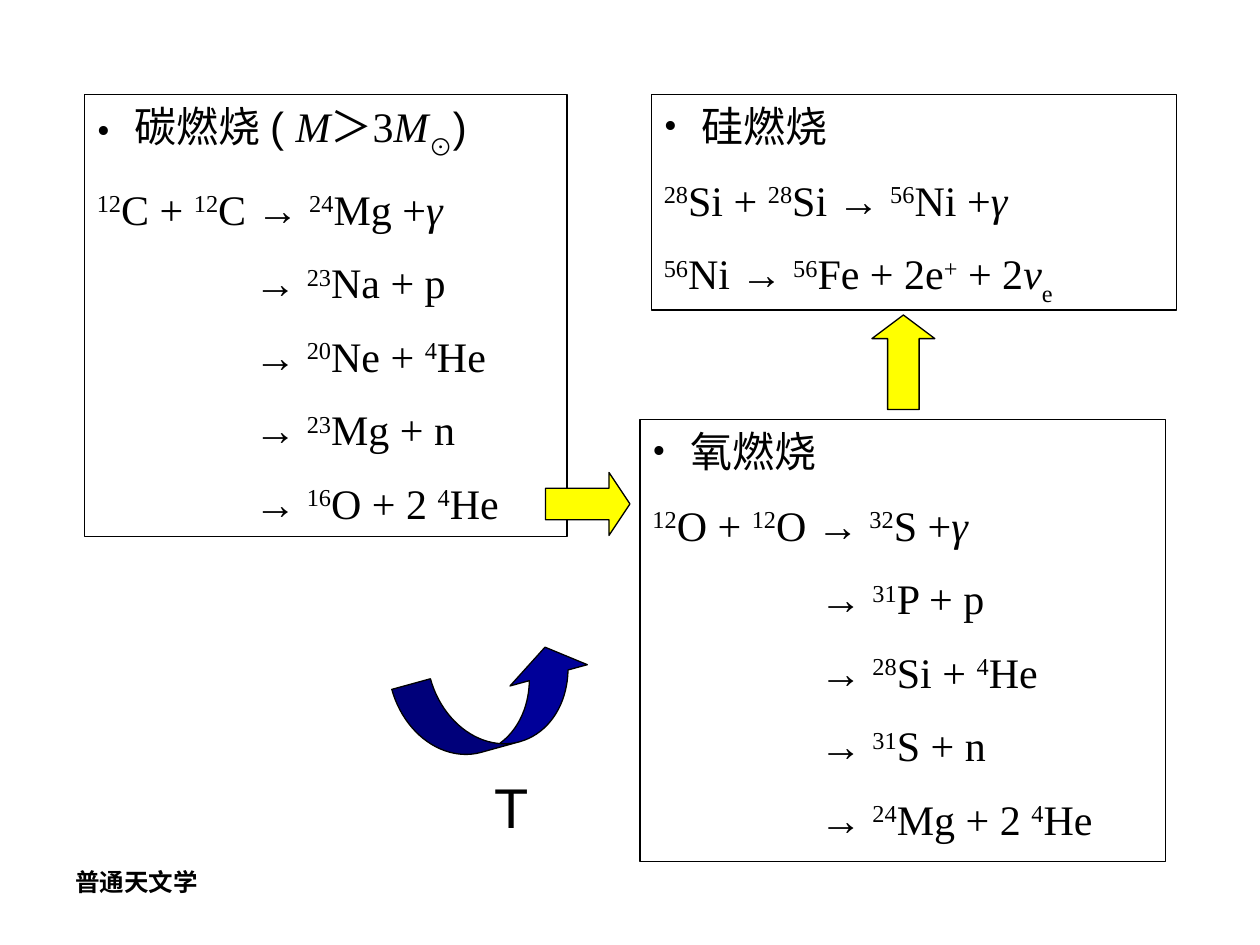
from dataclasses import dataclass

from lxml import etree
from pptx import Presentation
from pptx.dml.color import RGBColor
from pptx.enum.shapes import MSO_SHAPE
from pptx.enum.text import MSO_ANCHOR, PP_ALIGN
from pptx.oxml.ns import qn
from pptx.util import Inches, Pt

BLACK = RGBColor(0x00, 0x00, 0x00)
YELLOW = RGBColor(0xFF, 0xFF, 0x00)
NAVY = RGBColor(0x00, 0x00, 0x99)
RECT = MSO_SHAPE.RECTANGLE
UP = MSO_SHAPE.UP_ARROW
RIGHT = MSO_SHAPE.RIGHT_ARROW
CURVED = MSO_SHAPE.CURVED_UP_ARROW
TOP = MSO_ANCHOR.TOP
LEFT = PP_ALIGN.LEFT

SERIF = "Times New Roman"
SANS = "Arial"
CJK = "Noto Sans CJK SC"
BULLET_INDENT = 0.3
LINE_GAP = Pt(13.2)

# Runs are separated by "|"; the first character of a run may set its style
STYLES = {
    "^": {"baseline": 30000},
    "_": {"baseline": -30000},
    "/": {"italic": True},
    "~": {"name": SANS},
    "@": {"name": SANS, "baseline": -30000},
}


@dataclass
class Panel:
    box: tuple[float, float, float, float]
    title: str
    reactions: list[str]
    products: list[str]
    indent: float = 0


@dataclass
class BlockArrow:
    kind: MSO_SHAPE
    box: tuple[float, float, float, float]
    adjustments: list[float]
    fill: RGBColor
    rotation: float = 0


PANELS = [
    Panel((0.67, 0.75, 3.83, 3.51), "碳燃烧 |~( |/M|＞3|/M|@⊙|~)",
          ["^12|C + |^12|C → |^24|Mg +|/γ"],
          ["^23|Na + p", "^20|Ne + |^4|He", "^23|Mg + n", "^16|O + 2 |^4|He"], 1.25),
    Panel((5.08, 3.33, 4.17, 3.51), "氧燃烧",
          ["^12|O + |^12|O → |^32|S +|/γ"],
          ["^31|P + p", "^28|Si + |^4|He", "^31|S + n", "^24|Mg + 2 |^4|He"], 1.33),
    Panel((5.17, 0.75, 4.17, 1.71), "硅燃烧",
          ["^28|Si + |^28|Si → |^56|Ni +|/γ",
           "^56|Ni → |^56|Fe + 2e|^+| + 2|/ν|_e"], []),
]

ARROWS = [
    BlockArrow(UP, (6.92, 2.5, 0.5, 0.75), [0.5, 0.375], YELLOW),
    BlockArrow(RIGHT, (4.33, 3.75, 0.67, 0.5), [0.5, 0.333], YELLOW),
    BlockArrow(CURVED, (3.17, 5.25, 1.58, 0.67), [0.475, 0.95, 0.333], NAVY, 344.6),
]


def add_run(p, text: str, **fmt) -> None:
    r = p.add_run()
    r.text = text
    r.font.color.rgb = BLACK
    baseline = fmt.pop("baseline", None)
    for key, value in fmt.items():
        setattr(r.font, key, value)
    rPr = r.font._element
    if baseline:
        rPr.set("baseline", str(baseline))
    latin = rPr.find(qn("a:latin"))
    ea = etree.Element(qn("a:ea"), typeface=CJK)
    latin.addnext(ea)


def add_marked_runs(p, markup: str) -> None:
    for piece in markup.split("|"):
        style = STYLES.get(piece[0], {})
        text = piece[1:] if style else piece
        add_run(p, text, **{"name": SERIF, "size": Pt(24), **style})


def set_indent(p, left: float, first: float = 0) -> None:
    pPr = p._p.get_or_add_pPr()
    pPr.set("marL", str(Inches(left)))
    pPr.set("indent", str(Inches(first)))


def add_bullet(p) -> None:
    set_indent(p, BULLET_INDENT, -BULLET_INDENT)
    pPr = p._p.get_or_add_pPr()
    etree.SubElement(pPr, qn("a:buSzPct"), val="90000")
    etree.SubElement(pPr, qn("a:buFont"), typeface=SERIF)
    etree.SubElement(pPr, qn("a:buChar"), char="•")


def add_outlined(slide, kind: MSO_SHAPE, box: tuple):
    sp = slide.shapes.add_shape(kind, *map(Inches, box))
    sp.shadow.inherit = False
    sp.line.color.rgb = BLACK
    sp.line.width = Pt(0.75)
    return sp


def add_panel(slide, panel: Panel) -> None:
    sp = add_outlined(slide, RECT, panel.box)
    sp.fill.background()
    tf = sp.text_frame
    tf.word_wrap = True
    tf.vertical_anchor = TOP
    p = tf.paragraphs[0]
    p.alignment = LEFT
    add_bullet(p)
    add_marked_runs(p, panel.title)
    lines = [(text, 0) for text in panel.reactions]
    lines += [("→ |" + text, panel.indent) for text in panel.products]
    for text, indent in lines:
        p = tf.add_paragraph()
        p.alignment = LEFT
        p.space_before = LINE_GAP
        set_indent(p, indent)
        add_marked_runs(p, text)


def add_arrow(slide, arrow: BlockArrow) -> None:
    sp = add_outlined(slide, arrow.kind, arrow.box)
    sp.fill.solid()
    sp.fill.fore_color.rgb = arrow.fill
    sp.rotation = arrow.rotation
    for i, value in enumerate(arrow.adjustments):
        sp.adjustments[i] = value


def add_label(slide, box: tuple, text: str, **fmt) -> None:
    tf = slide.shapes.add_textbox(*map(Inches, box)).text_frame
    tf.word_wrap = True
    add_run(tf.paragraphs[0], text, **fmt)


def main() -> None:
    prs = Presentation()
    prs.slide_width, prs.slide_height = Inches(10), Inches(7.5)
    slide = prs.slides.add_slide(prs.slide_layouts[6])

    # Footer
    add_label(slide, (0.5, 6.83, 2.33, 0.52), "普通天文学",
              name=CJK, size=Pt(14), bold=True)

    # Burning stages
    for panel in PANELS:
        add_panel(slide, panel)

    # Arrows between stages and the rising temperature
    for arrow in ARROWS:
        add_arrow(slide, arrow)
    add_label(slide, (3.83, 6.08, 0.58, 0.63), "T", name=SANS, size=Pt(32))

    prs.save("out.pptx")


if __name__ == "__main__":
    main()
